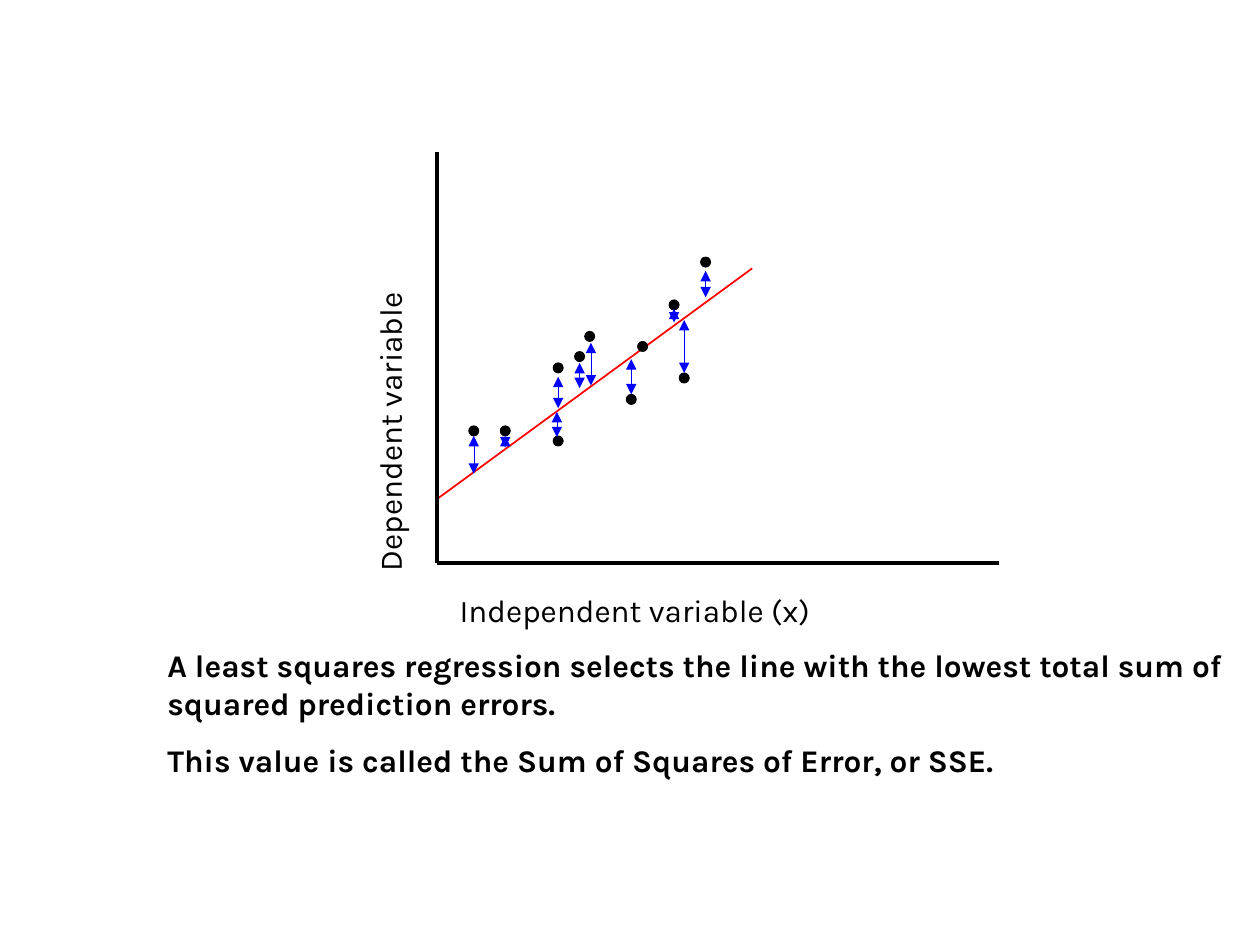
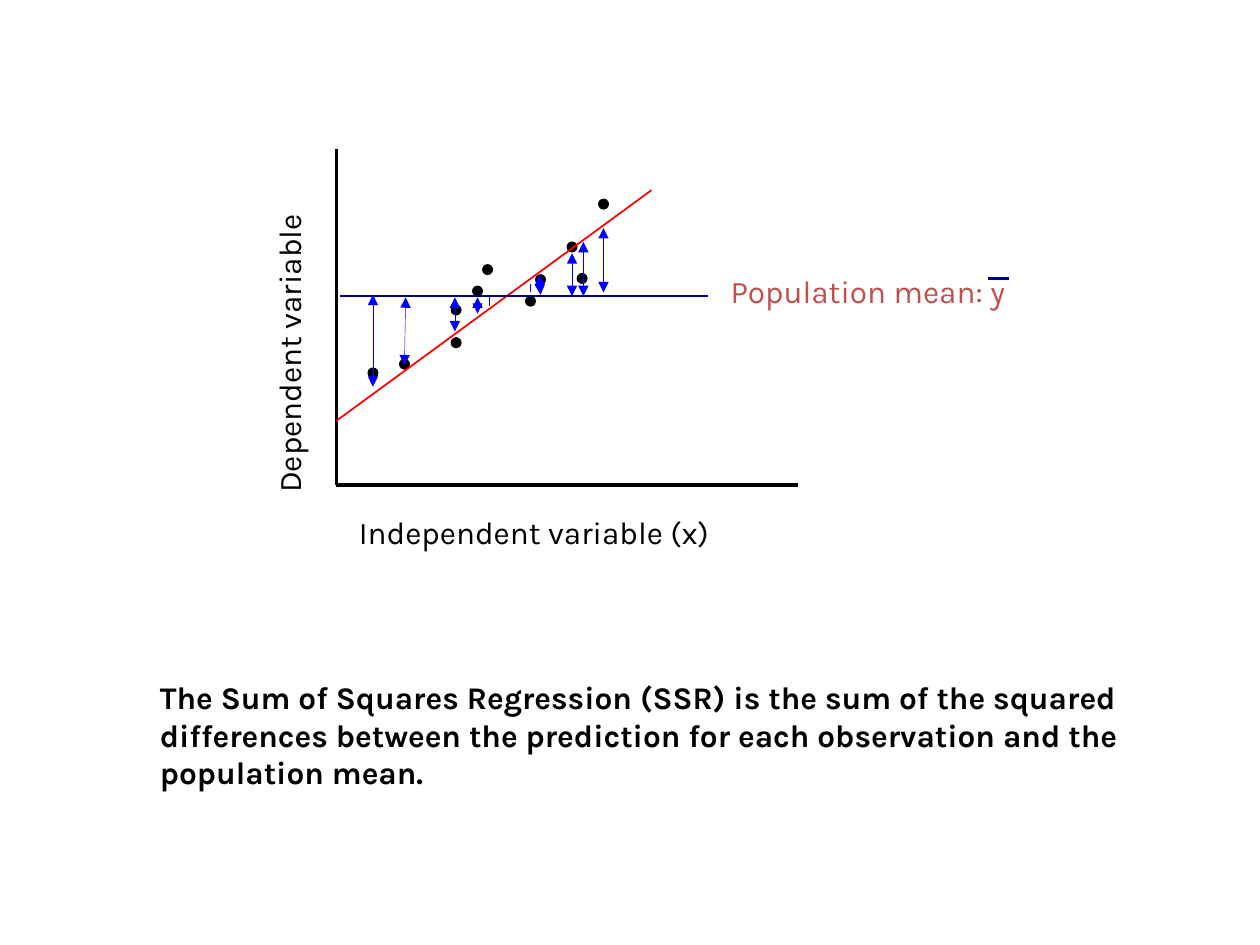
from dataclasses import dataclass
from lxml.etree import SubElement as Sub
from pptx import Presentation
from pptx.dml.color import RGBColor as RGB
from pptx.enum.shapes import MSO_CONNECTOR as Link, MSO_SHAPE as Form
from pptx.enum.text import MSO_AUTO_SIZE as Fit
from pptx.oxml.ns import qn
from pptx.util import Inches, Pt


@dataclass(frozen=True)
class Theme:
    font: str = "Karla"
    size: float = 18
    gap: float = 11.2
    ink: str = "000000"
    fit: str = "FF0000"
    mean: str = "000080"
    error: str = "0000FF"
    label: str = "C0504D"
    thick: float = 2
    thin: float = 1
    hair: float = 0.26
    rim: float = 0.5
    dot: float = 0.08


T = Theme()

# Content: dots are left, top; errors are x, top, x, bottom
X_NAME, Y_NAME = "Independent variable (x)", "Dependent variable"
SSE = {
    "origin": (3.47, 4.47), "wide": 4.46, "high": 3.26, "front": False,
    "dots": [(4.39, 3.46), (3.97, 3.38), (4.56, 2.79), (4.97, 3.13),
             (4.64, 2.63), (5.06, 2.71), (5.39, 2.96), (5.31, 2.38),
             (4.39, 2.88), (3.72, 3.38), (5.56, 2.04)],
    "errors": [(3.76, 3.46, 3.76, 3.76), (4.01, 3.46, 4.01, 3.55),
               (4.42, 3.27, 4.42, 3.47), (4.43, 2.99, 4.43, 3.24),
               (4.6, 2.88, 4.6, 3.08), (4.69, 2.72, 4.69, 3.06),
               (5.01, 2.85, 5.01, 3.13), (5.43, 2.54, 5.43, 2.96),
               (5.6, 2.15, 5.6, 2.36), (5.35, 2.45, 5.35, 2.56)],
    "plain": [],
    "note": (1.23, 5.08, 8.58, 1.16),
    "words": ["A least squares regression selects the line with the lowest "
              "total sum of squared prediction errors.",
              "This value is called the Sum of Squares of Error, or SSE."],
}
SSR = {
    "origin": (2.67, 3.85), "wide": 3.66, "high": 2.67, "front": True,
    "dots": [(3.58, 2.68), (3.17, 2.85), (3.75, 2.27), (4.17, 2.35),
             (3.83, 2.1), (4.25, 2.18), (4.58, 2.17), (4.5, 1.92),
             (3.58, 2.42), (2.92, 2.92), (4.75, 1.58)],
    "errors": [(4.79, 1.81, 4.79, 2.32), (4.54, 2.01, 4.54, 2.35),
               (3.79, 2.36, 3.79, 2.49), (2.96, 2.34, 2.96, 3.07),
               (3.22, 2.36, 3.21, 2.9), (3.61, 2.36, 3.61, 2.63),
               (4.63, 1.92, 4.63, 2.35), (4.28, 2.18, 4.29, 2.34)],
    "plain": [(4.21, 2.25, 4.21, 2.32), (3.88, 2.36, 3.88, 2.43)],
    "note": (1.17, 5.33, 8.58, 1),
    "words": ["The Sum of Squares Regression (SSR) is the sum of the squared "
              "differences between the prediction for each observation and "
              "the population mean."],
}
MEAN = "Population mean: y"


def text(slide, words, box, color=T.ink, bold=False, wrap=True, turn=0, gap=0):
    shape = slide.shapes.add_textbox(*map(Inches, box))
    shape.rotation = turn
    frame = shape.text_frame
    frame.word_wrap = wrap
    frame.auto_size = Fit.SHAPE_TO_FIT_TEXT
    for i, line in enumerate(words):
        para = frame.add_paragraph() if i else frame.paragraphs[0]
        para.space_before = Pt(gap)
        run = para.add_run()
        run.text = line
        run.font.name, run.font.size = T.font, Pt(T.size)
        run.font.bold = bold
        run.font.color.rgb = RGB.from_string(color)


def line(slide, ends, color, width, heads=False):
    link = slide.shapes.add_connector(Link.STRAIGHT, *map(Inches, ends))
    link.line.color.rgb = RGB.from_string(color)
    link.line.width = Pt(width)
    props = link.line._get_or_add_ln()
    if heads:
        for end in ("a:headEnd", "a:tailEnd"):
            Sub(props, qn(end), type="triangle")
    Sub(props.getparent(), qn("a:effectLst"))


def dot(slide, left, top):
    shape = slide.shapes.add_shape(
        Form.OVAL, *map(Inches, (left, top, T.dot, T.dot)))
    shape.shadow.inherit = False
    shape.fill.solid()
    shape.fill.fore_color.rgb = RGB.from_string(T.ink)
    shape.line.color.rgb = RGB.from_string(T.ink)
    shape.line.width = Pt(T.rim)


def plot(slide, data):
    x, y = data["origin"]
    fit = (x, y - 0.51, x + 2.5, y - 2.34)
    if not data["front"]:
        line(slide, fit, T.fit, T.thin)
    # Axes, dots and axis names
    line(slide, (x, y - data["high"], x, y), T.ink, T.thick)
    line(slide, (x, y, x + data["wide"], y), T.ink, T.thick)
    for spot in data["dots"]:
        dot(slide, *spot)
    text(slide, [X_NAME], (x + 0.08, y + 0.17, 3.07, 0.4), wrap=False)
    text(slide, [Y_NAME], (x - 1.71, y - 1.37, 2.66, 0.4), turn=270)
    text(slide, data["words"], data["note"], bold=True, gap=T.gap)
    if data["front"]:
        line(slide, fit, T.fit, T.thin)


def gaps(slide, data):
    for ends in data["errors"]:
        line(slide, ends, T.error, T.hair, heads=True)
    for ends in data["plain"]:
        line(slide, ends, T.error, T.hair)


def mean(slide):
    line(slide, (2.7, 2.35, 5.62, 2.35), T.mean, 1.25)
    text(slide, [MEAN], (5.7, 2.11, 2.47, 0.4), color=T.label, wrap=False)
    line(slide, (7.84, 2.21, 8.01, 2.21), T.mean, T.thick)  # bar over y


deck = Presentation()
deck.slide_width, deck.slide_height = Inches(10), Inches(7.5)
for data in (SSE, SSR):
    slide = deck.slides.add_slide(deck.slide_layouts[6])
    plot(slide, data)
    if data is SSR:
        mean(slide)
    gaps(slide, data)
deck.save("out.pptx")
